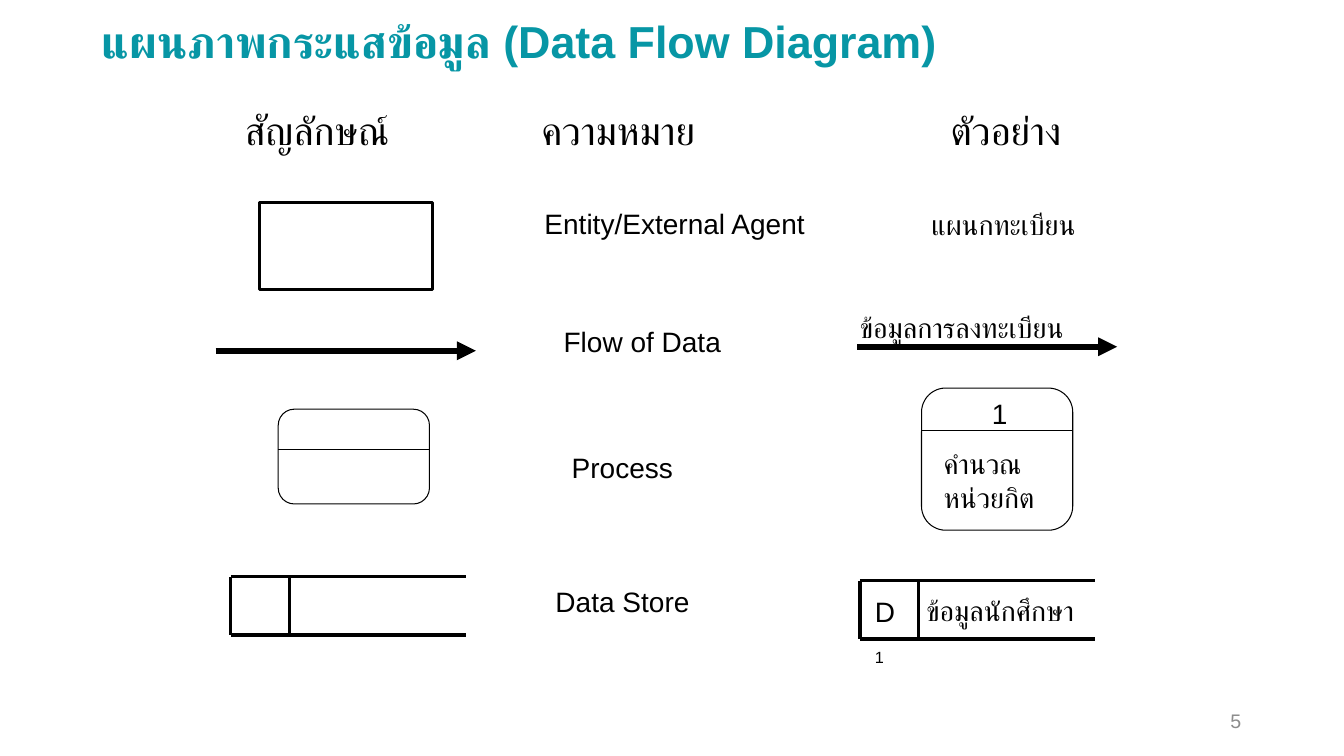
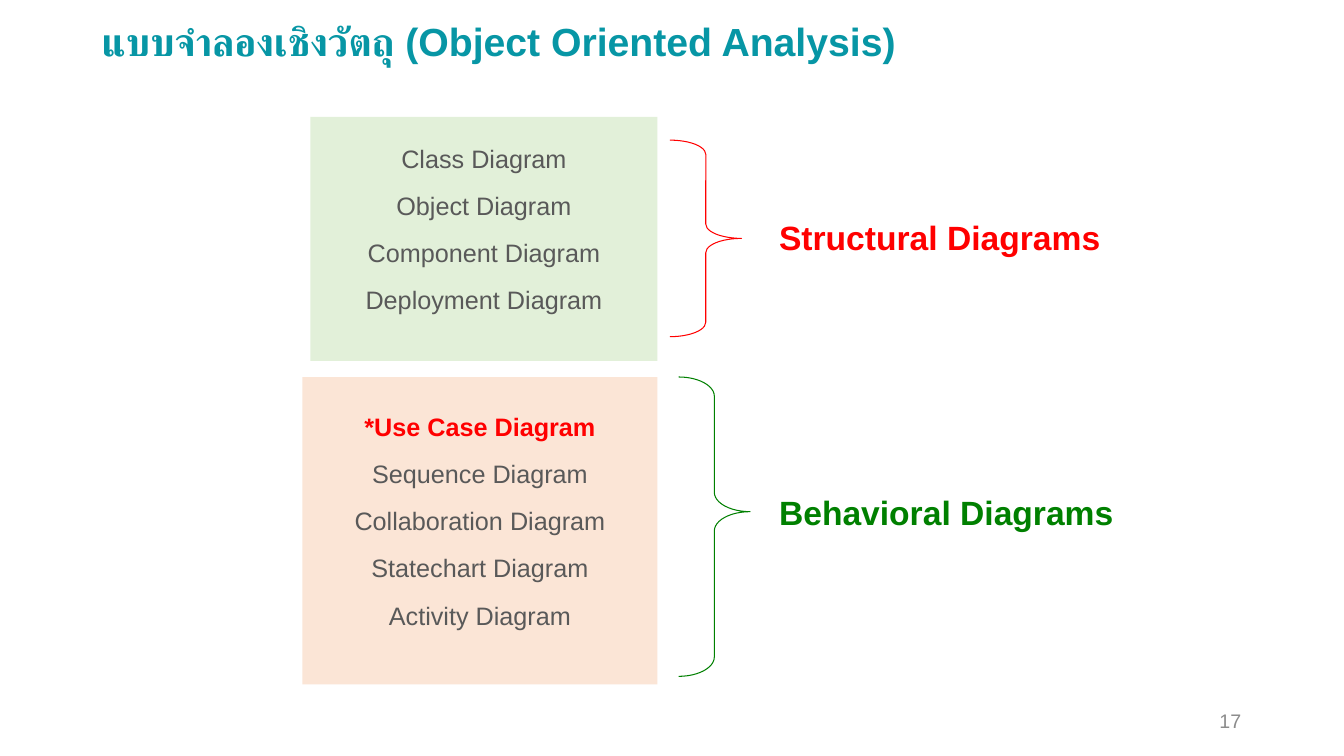
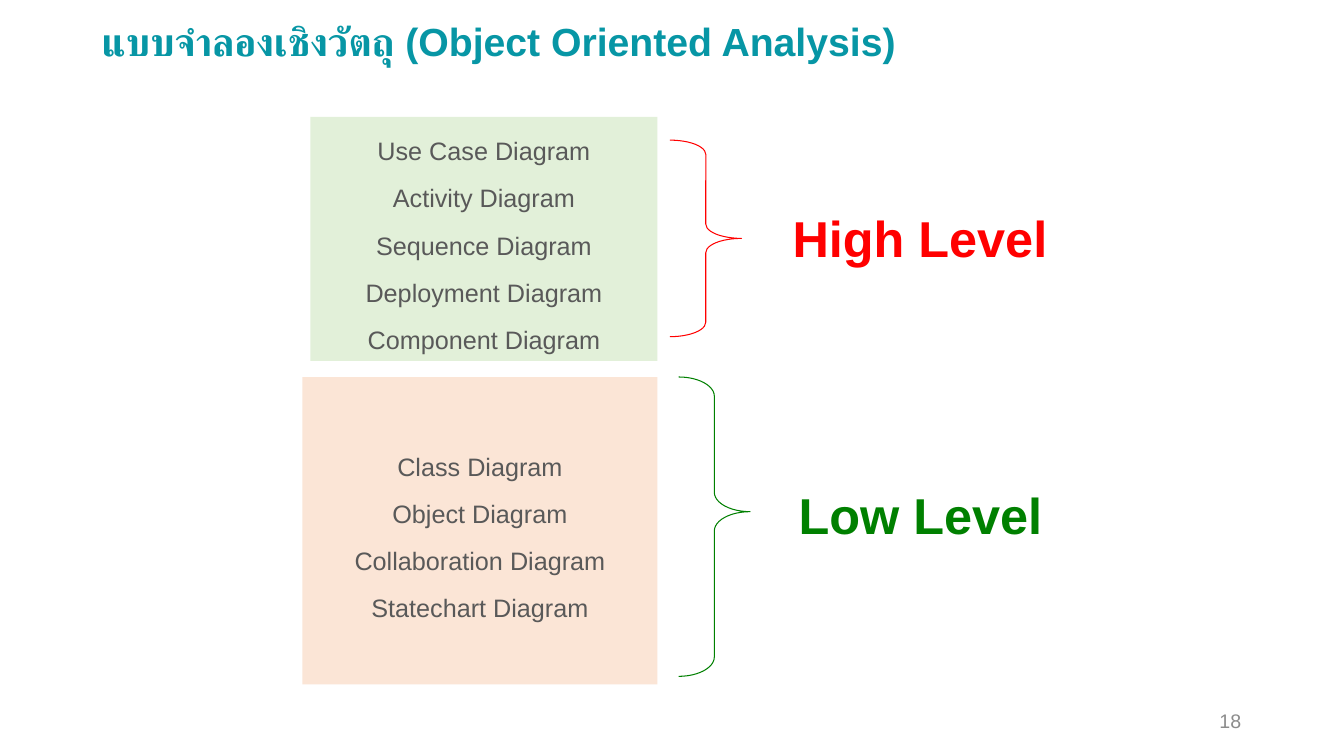
"""Build three slides on data flow diagrams and object oriented analysis."""
from dataclasses import dataclass
from typing import NamedTuple

from lxml.etree import SubElement
from pptx import Presentation
from pptx.dml.color import RGBColor
from pptx.enum.shapes import MSO_CONNECTOR, MSO_SHAPE
from pptx.enum.text import MSO_ANCHOR, PP_ALIGN
from pptx.oxml.ns import qn
from pptx.util import Inches, Pt

FONT = "Arial"
CELL = 0.1
PAD = 1
COLORS = {
    "title": "0796A5",
    "number": "8C8C8C",
    "ink": "000000",
    "body": "595959",
    "red": "FF0000",
    "green": "008000",
    "mint": "E2F0D9",
    "peach": "FBE5D6",
}
OBJECT = "แบบจำลองเชิงวัตถุ (Object Oriented Analysis)"


class Area(NamedTuple):
    """A place on the grid, in columns and rows."""
    col: float
    row: float
    wide: float
    high: float


class Run(NamedTuple):
    """A piece of text with one look."""
    text: str
    size: float = 20
    color: str = "ink"
    bold: bool = False
    base: int = 0


@dataclass
class Label:
    """Text with its place and side inset."""
    area: Area
    runs: list[Run]
    pad: float = PAD


@dataclass
class Group:
    """A panel of diagram names with its brace and heading."""
    panel: Area
    fill: str
    names: list[Run]
    brace: Area
    bend: tuple[float, float]
    head: Area
    title: Run
    foot: float = 0.5


def grid(count: float) -> int:
    """Turn grid cells into a length."""
    return Inches(count * CELL)


def place(area: Area) -> list[int]:
    """Turn an area into left, top, width and height."""
    return [grid(part) for part in area]


def shade(name: str) -> RGBColor:
    """Look up a colour."""
    return RGBColor.from_string(COLORS[name])


def write(para, run: Run) -> None:
    """Add one run to a paragraph."""
    part = para.add_run()
    part.text = run.text
    font = part.font
    font.name, font.size, font.bold = FONT, Pt(run.size), run.bold
    font.color.rgb = shade(run.color)
    props = part._r.get_or_add_rPr()
    SubElement(props, qn("a:cs"), typeface=FONT)
    if run.base:
        props.set("baseline", str(run.base * 1000))


def label(slide, item: Label, align=PP_ALIGN.LEFT, anchor=MSO_ANCHOR.TOP):
    """Draw a text box and return its paragraph."""
    frame = slide.shapes.add_textbox(*place(item.area)).text_frame
    frame.word_wrap = True
    frame.vertical_anchor = anchor
    frame.margin_left = frame.margin_right = grid(item.pad)
    frame.margin_top = frame.margin_bottom = grid(item.pad / 2)
    para = frame.paragraphs[0]
    para.alignment = align
    for run in item.runs:
        write(para, run)
    return para


def style(form, fill: str = "", line: str = "", width: float = 0.75) -> None:
    """Set the fill and outline of a shape."""
    form.shadow.inherit = False
    if fill:
        form.fill.solid()
        form.fill.fore_color.rgb = shade(fill)
    else:
        form.fill.background()
    if line:
        form.line.color.rgb = shade(line)
        form.line.width = Pt(width)
    else:
        form.line.fill.background()


def shape(slide, kind, area: Area, fill: str = "", line: str = "",
          width: float = 0.75, bend: tuple[float, ...] = ()):
    """Draw a preset shape."""
    form = slide.shapes.add_shape(kind, *place(area))
    style(form, fill, line, width)
    for spot, value in enumerate(bend):
        form.adjustments[spot] = value
    return form


def rule(slide, col: float, row: float, wide: float, width: float,
         arrow: bool = False) -> None:
    """Draw a level line, with an arrowhead if asked."""
    ends = [grid(end) for end in (col, row, col + wide, row)]
    line = slide.shapes.add_connector(MSO_CONNECTOR.STRAIGHT, *ends)
    line.line.color.rgb = shade("ink")
    line.line.width = Pt(width)
    if arrow:
        SubElement(line.line._get_or_add_ln(), qn("a:tailEnd"), type="triangle")
    SubElement(line._element.spPr, qn("a:effectLst"))


def process(slide, area: Area, share: float) -> None:
    """Draw a process box split at a share of its height."""
    shape(slide, MSO_SHAPE.ROUNDED_RECTANGLE, area, line="ink", bend=(0.17,))
    rule(slide, area.col, area.row + share * area.high, area.wide, 0.75)


def store(slide, area: Area) -> None:
    """Draw an open data store with a square first cell."""
    left, top, wide, high = place(area)
    right, base = left + wide, top + high
    pen = slide.shapes.build_freeform(left, top)
    pen.add_line_segments([(right, top)], close=False)
    for x, y, tox, toy in ((left, base, right, base), (left, top, left, base),
                           (left + high, top, left + high, base)):
        pen.move_to(x, y)
        pen.add_line_segments([(tox, toy)], close=False)
    style(pen.convert_to_shape(), line="ink", width=2.25)


def start(deck, title: str, size: float, number: int):
    """Add a blank slide with its title and number."""
    slide = deck.slides.add_slide(deck.slide_layouts[6])
    para = label(slide, Label(Area(9.1, 0.8, 100.6, 7.1),
                              [Run(title, size, "title", True)]),
                 anchor=MSO_ANCHOR.MIDDLE)
    para.line_spacing = 0.9
    label(slide, Label(Area(94.1, 69.5, 30, 4),
                       [Run(str(number), 14, "number")]),
          PP_ALIGN.RIGHT, MSO_ANCHOR.MIDDLE)
    return slide


def flow(deck) -> None:
    """Build the slide of data flow symbols."""
    slide = start(deck, "แผนภาพกระแสข้อมูล (Data Flow Diagram)", 32, 5)
    heads = label(slide, Label(Area(24.3, 10.5, 91.7, 4.9), [], 0))
    tabs = SubElement(heads._p.get_or_add_pPr(), qn("a:tabLst"))
    for stop in (29.4, 70):
        SubElement(tabs, qn("a:tab"), pos=str(grid(stop)), algn="l")
    write(heads, Run("สัญลักษณ์\tความหมาย\tตัวอย่าง", 28))

    shape(slide, MSO_SHAPE.RECTANGLE, Area(25.7, 20.1, 17.2, 8.6),
          line="ink", width=2)
    for col, row in ((21.4, 34.8), (85, 34.4)):
        rule(slide, col, row, 25.8, 4.5, True)
    process(slide, Area(27.6, 40.6, 15, 9.4), 0.42)
    process(slide, Area(91.4, 38.5, 15, 14.1), 0.3)
    for col, row in ((22.9, 57.2), (85.3, 57.6)):
        store(slide, Area(col, row, 23.3, 5.8))

    means = [
        (Area(54, 20.5, 28.2, 6.9), "Entity/External Agent"),
        (Area(55.9, 32.2, 25, 3.5), "Flow of Data"),
        (Area(56.7, 44.7, 18.7, 3.5), "Process"),
        (Area(55.1, 58, 20.3, 3.5), "Data Store"),
    ]
    cases = [
        (Area(91.4, 20.1, 17.8, 4.4), "แผนกทะเบียน"),
        (Area(84.3, 30.3, 25.5, 4.4), "ข้อมูลการลงทะเบียน"),
        (Area(92.6, 43.8, 13.6, 7.7), "คำนวณหน่วยกิต"),
        (Area(97.4, 38.8, 4, 4.4), "1"),
        (Area(90.9, 58.4, 19, 4.4), "ข้อมูลนักศึกษา"),
    ]
    for pad, pairs in ((0, means), (PAD, cases)):
        for area, text in pairs:
            label(slide, Label(area, [Run(text)], pad))
    label(slide, Label(Area(85.8, 58.5, 4.7, 4.4),
                       [Run("D"), Run("1", base=-25)]))


def names(*texts: str) -> list[Run]:
    """Give diagram names the body look."""
    return [Run(text, 18, "body") for text in texts]


def upper(items: list[Run], head: Area, title: Run, foot: float = 0.5) -> Group:
    """Describe the upper group."""
    return Group(Area(30.8, 11.6, 34.4, 24.2), "mint", items,
                 Area(66.45, 13.9, 7.1, 19.5), (0.2, 0.5), head, title, foot)


def lower(items: list[Run], head: Area, title: Run, foot: float = 0.5) -> Group:
    """Describe the lower group."""
    return Group(Area(30, 37.4, 35.2, 30.5), "peach", items,
                 Area(67.3, 37.4, 7.1, 29.7), (0.27, 0.45), head, title, foot)


def model(deck, number: int, groups: list[Group]) -> None:
    """Build a slide of grouped diagrams."""
    slide = start(deck, OBJECT, 28, number)
    for group in groups:
        panel = shape(slide, MSO_SHAPE.RECTANGLE, group.panel, group.fill)
        frame = panel.text_frame
        frame.word_wrap = True
        frame.vertical_anchor = MSO_ANCHOR.MIDDLE
        frame.margin_bottom = grid(group.foot)
        for spot, run in enumerate(group.names):
            para = frame.add_paragraph() if spot else frame.paragraphs[0]
            para.alignment = PP_ALIGN.CENTER
            para.line_spacing = 1.4
            para.space_before = Pt(3.5 if spot else 0)
            write(para, run)
        shape(slide, MSO_SHAPE.RIGHT_BRACE, group.brace,
              line=group.title.color, bend=group.bend)
        label(slide, Label(group.head, [group.title]),
              PP_ALIGN.CENTER, MSO_ANCHOR.MIDDLE)


def main() -> None:
    """Build and save the deck."""
    deck = Presentation()
    deck.slide_width, deck.slide_height = Inches(13.33), Inches(7.5)
    flow(deck)
    model(deck, 17, [
        lower([Run("*Use Case Diagram", 18, "red", True)]
              + names("Sequence Diagram", "Collaboration Diagram",
                      "Statechart Diagram", "Activity Diagram"),
              Area(71.3, 48.3, 45.1, 5),
              Run("Behavioral Diagrams", 24, "green", True), 3.7),
        upper(names("Class Diagram", "Object Diagram",
                    "Component Diagram", "Deployment Diagram"),
              Area(73.5, 21, 39.4, 5),
              Run("Structural Diagrams", 24, "red", True), 3.7),
    ])
    model(deck, 18, [
        lower(names("Class Diagram", "Object Diagram",
                    "Collaboration Diagram", "Statechart Diagram"),
              Area(77.7, 47.5, 27.2, 7.1),
              Run("Low Level", 36, "green", True)),
        upper(names("Use Case Diagram", "Activity Diagram", "Sequence Diagram",
                    "Deployment Diagram", "Component Diagram"),
              Area(75.3, 20.1, 31.9, 7),
              Run("High Level", 36, "red", True)),
    ])
    deck.save("out.pptx")


if __name__ == "__main__":
    main()
